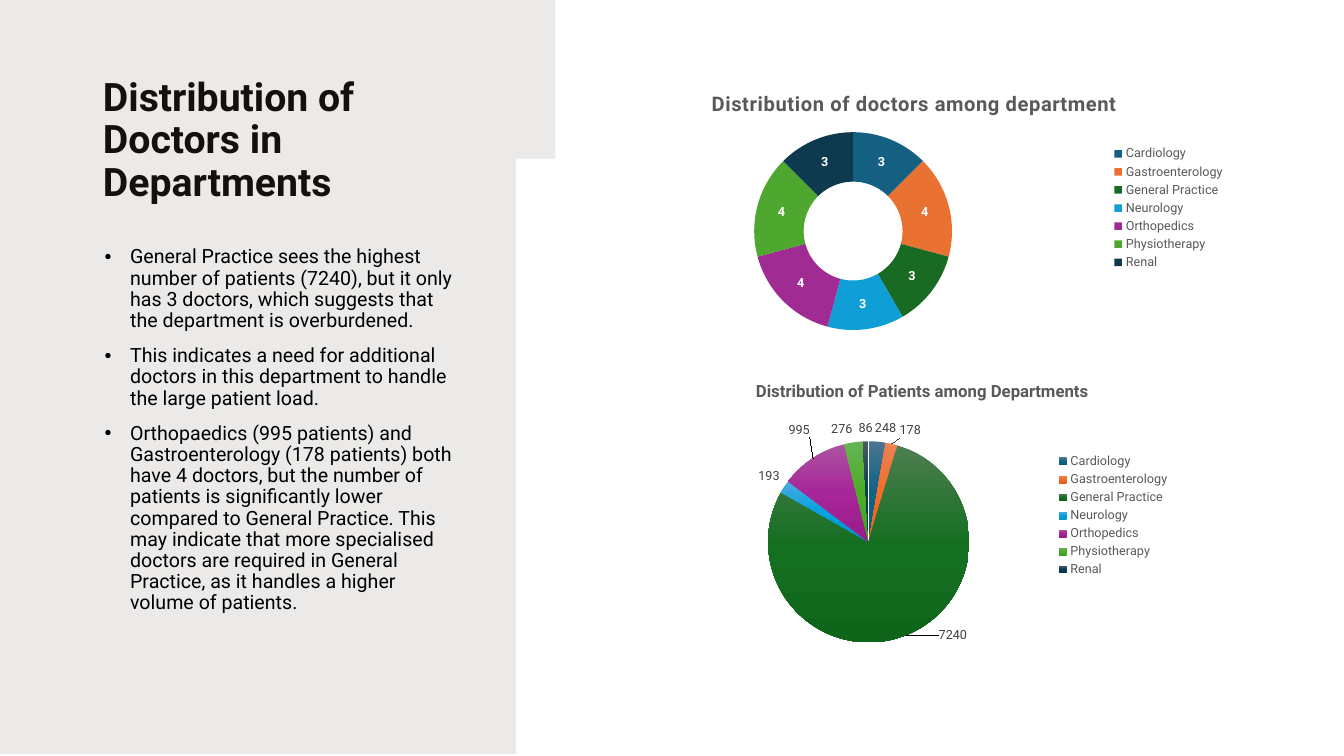
from copy import deepcopy

from pptx import Presentation
from pptx.chart.data import CategoryChartData
from pptx.dml.color import RGBColor
from pptx.enum.chart import XL_CHART_TYPE as ChartType
from pptx.enum.chart import XL_LABEL_POSITION as LabelPosition
from pptx.enum.chart import XL_LEGEND_POSITION as LegendPosition
from pptx.enum.text import MSO_ANCHOR as Anchor
from pptx.enum.text import MSO_AUTO_SIZE as AutoSize
from pptx.enum.text import PP_ALIGN as Align
from pptx.oxml import parse_xml
from pptx.oxml.ns import nsdecls
from pptx.oxml.xmlchemy import OxmlElement
from pptx.util import Cm, Pt

FONT = "Roboto"
BLACK = RGBColor(0x00, 0x00, 0x00)
WHITE = RGBColor(0xFF, 0xFF, 0xFF)
TAUPE = RGBColor(0x82, 0x76, 0x6A)
GREY = RGBColor(0x59, 0x59, 0x59)
DARK_GREY = RGBColor(0x40, 0x40, 0x40)

# Department: doctors, patients, flat colour, gradient colours
DEPARTMENTS = {
    "Cardiology": (3, 248, "156082", ("4C7591", "106287", "09597D")),
    "Gastroenterology": (4, 178, "E97132", ("ED8257", "F26E29", "E25F1A")),
    "General Practice": (3, 7240, "196B24", ("4D7E50", "156F21", "0F661B")),
    "Neurology": (3, 193, "0F9ED5", ("4CAADF", "05A2DF", "0092CB")),
    "Orthopedics": (4, 995, "A02B93", ("AC53A0", "A62598", "991C8B")),
    "Physiotherapy": (4, 276, "4EA72E", ("66B354", "4BAD28", "409F1E")),
    "Renal": (3, 86, "0D3A4E", ("4B5B68", "093B51", "05354B")),
}
DOCTORS, PATIENTS, COLOURS, GRADIENTS = zip(*DEPARTMENTS.values())

FINDINGS = [
    "General Practice sees the highest number of patients (7240), but it only has 3 doctors, "
    "which suggests that the department is overburdened.",
    "This indicates a need for additional doctors in this department to handle the large "
    "patient load.",
    "Orthopaedics (995 patients) and Gastroenterology (178 patients) both have 4 doctors, but "
    "the number of patients is significantly lower compared to General Practice. This may "
    "indicate that more specialised doctors are required in General Practice, as it handles a "
    "higher volume of patients.",
]

# Torn right edge of the panel, from top to bottom, in centimetres
TORN_EDGE = [
    (14.35, 0), (14.27, 0.36), (14.27, 0.99), (14.22, 1.32), (14.25, 1.6), (14.1, 1.9),
    (13.94, 2.26), (13.89, 2.46), (13.67, 2.95), (13.67, 3.23), (13.61, 3.61), (13.51, 3.91),
    (13.41, 4.22), (13.41, 4.57), (13.36, 4.95), (13.31, 5.46), (13.21, 5.61), (13.18, 5.87),
    (13.16, 6.27), (13.03, 6.48), (12.93, 6.68), (12.88, 7.09), (12.8, 7.54), (12.85, 7.8),
    (12.83, 8.31), (12.93, 8.51), (12.88, 8.84), (12.9, 9.12), (13.03, 9.47), (13.11, 9.91),
    (13.13, 10.29), (13.23, 10.77), (13.21, 11.25), (13.11, 11.71), (13.13, 12.24),
    (13.06, 12.85), (13.03, 13.16), (12.98, 13.46), (12.9, 13.69), (12.8, 13.92),
    (12.78, 14.2), (12.83, 14.48), (12.88, 15.19), (12.88, 15.54), (12.8, 16.03),
    (12.8, 16.41), (12.85, 16.59), (12.85, 17.3), (12.93, 17.7), (12.98, 18.16),
    (13.06, 18.77), (13.11, 19.05), (15.7, 19.05),
]


def style_font(font, size, color, bold=False):
    font.name, font.size, font.bold = FONT, Pt(size), bold
    font.color.rgb = color


def write_text(para, text, size=14, color=BLACK, bold=False, line=None, before=0, after=0,
               tracking=0):
    span = para.add_run()
    span.text = text
    style_font(span.font, size, color, bold)
    if line:
        para.line_spacing = line
        para.space_before, para.space_after = Pt(before), Pt(after)
    if tracking:
        span.font._element.set("spc", str(tracking))


def add_panel(slide, height):
    builder = slide.shapes.build_freeform(0, 0, scale=Cm(1))
    builder.add_line_segments(TORN_EDGE + [(0, height)], close=True)
    panel = builder.convert_to_shape()
    panel.shadow.inherit = False
    panel.line.fill.background()
    panel.fill.solid()
    panel.fill.fore_color.rgb = TAUPE
    alpha = OxmlElement("a:alpha")
    alpha.set("val", "15000")
    panel._element.spPr.find(".//" + "{*}srgbClr").append(alpha)


def add_title(slide, box):
    title = slide.shapes.title
    title.left, title.top, title.width, title.height = box
    frame = title.text_frame
    frame.word_wrap, frame.auto_size = True, AutoSize.NONE
    frame.vertical_anchor = Anchor.MIDDLE
    para = frame.paragraphs[0]
    para.alignment = Align.LEFT
    write_text(para, "Distribution of Doctors in Departments", size=28, bold=True, line=0.9)


def add_findings(slide, box):
    frame = slide.shapes.add_textbox(*box).text_frame
    frame.word_wrap = True
    for index, finding in enumerate(FINDINGS):
        para = frame.add_paragraph() if index else frame.paragraphs[0]
        last = index == len(FINDINGS) - 1
        write_text(para, finding, line=0.9, before=10 if index else 0, after=8 if last else 0)
        properties = para._p.get_or_add_pPr()
        properties.set("marL", str(Cm(0.64)))
        properties.set("indent", str(-Cm(0.64)))
        properties.append(parse_xml(f'<a:buFont {nsdecls("a")} typeface="Arial"/>'))
        properties.append(parse_xml(f'<a:buChar {nsdecls("a")} char="•"/>'))


def make_layout(edge=True, target=None, **shares):
    """Manual chart layout; shares are fractions of the chart's size."""
    modes = ""
    if edge:
        modes = '<c:xMode val="edge"/><c:yMode val="edge"/>'
        if target:
            modes = f'<c:layoutTarget val="{target}"/>' + modes
    values = "".join(f'<c:{key} val="{share}"/>' for key, share in shares.items())
    return parse_xml(f'<c:layout {nsdecls("c")}><c:manualLayout>{modes}{values}'
                     '</c:manualLayout></c:layout>')


def place_part(part, after, layout):
    for old in part.findall("{*}layout"):
        part.remove(old)
    previous = part.find("{*}" + after) if after else None
    if previous is None:
        part.insert(0, layout)
    else:
        previous.addnext(layout)


def add_round_chart(slide, box, kind, values, title, title_at, plot_box, legend_box,
                    title_size=12, tracking=0):
    data = CategoryChartData()
    data.categories = list(DEPARTMENTS)
    data.add_series("Series 1", values)
    chart = slide.shapes.add_chart(kind, *box, data).chart
    style_font(chart.font, 10, BLACK)

    # Title, plot and legend
    chart.has_title = True
    write_text(chart.chart_title.text_frame.paragraphs[0], title, size=title_size, color=GREY,
               bold=True, tracking=tracking)
    chart.chart_title.include_in_layout = False
    chart.has_legend = True
    chart.legend.position = LegendPosition.RIGHT
    chart.legend.include_in_layout = False
    style_font(chart.legend.font, 9, GREY)
    place_part(chart.chart_title._element, "tx", make_layout(**title_at))
    place_part(chart._chartSpace.chart.plotArea, None, make_layout(target="inner", **plot_box))
    place_part(chart.legend._element, "legendPos", make_layout(**legend_box))

    chart.plots[0].vary_by_categories = True
    series = chart.plots[0].series[0]
    series.data_labels.show_value = True
    return series


def add_doctors_chart(slide, box):
    series = add_round_chart(
        slide, box, ChartType.DOUGHNUT, DOCTORS, "Distribution of doctors among department",
        dict(x=0.17, y=0.05), dict(x=0.24, y=0.22, w=0.32, h=0.73),
        dict(x=0.8, y=0.26, w=0.2, h=0.48), title_size=14.4, tracking=50)
    style_font(series.data_labels.font, 9, WHITE, bold=True)
    for index, colour in enumerate(COLOURS):
        look = series.points[index].format
        look.fill.solid()
        look.fill.fore_color.rgb = RGBColor.from_string(colour)
        look.line.fill.background()


def add_patients_chart(slide, box):
    series = add_round_chart(
        slide, box, ChartType.PIE, PATIENTS, "Distribution of Patients among Departments",
        dict(x=0.16, y=0.04), dict(x=0.19, y=0.25, w=0.4, h=0.65),
        dict(x=0.75, y=0.28, w=0.25, h=0.42))
    style_font(series.data_labels.font, 9, DARK_GREY)
    series.data_labels.position = LabelPosition.BEST_FIT
    for index, colours in enumerate(GRADIENTS):
        look = series.points[index].format
        look.line.fill.background()
        look.fill.gradient()
        look.fill.gradient_angle = 270
        first = look.fill.gradient_stops[0]._gs
        first.addnext(deepcopy(first))
        for stop, colour, position in zip(look.fill.gradient_stops, colours, (0, 0.5, 1)):
            stop.color.rgb = RGBColor.from_string(colour)
            stop.position = position

    # Labels moved away from their slices
    for name, across, down in [("General Practice", 0.06, -0.04), ("Orthopedics", 0, -0.05)]:
        index = list(DEPARTMENTS).index(name)
        label = series.points[index].data_label
        style_font(label.font, 9, DARK_GREY)
        label.position = LabelPosition.OUTSIDE_END
        element = series._element.xpath(f"c:dLbls/c:dLbl[c:idx/@val={index}]")[0]
        place_part(element, "idx", make_layout(edge=False, x=across, y=down))


def main():
    deck = Presentation()
    deck.slide_width, deck.slide_height = Cm(33.87), Cm(19.05)
    slide = deck.slides.add_slide(deck.slide_layouts[5])
    add_panel(slide, 19.05)
    add_title(slide, (Cm(2.34), Cm(1.7), Cm(10.39), Cm(3.71)))
    add_findings(slide, (Cm(2.39), Cm(6.1), Cm(9.53), Cm(10.85)))
    add_doctors_chart(slide, (Cm(15.14), Cm(1.83), Cm(15.9), Cm(6.83)))
    add_patients_chart(slide, (Cm(16.94), Cm(9.17), Cm(12.7), Cm(7.8)))
    deck.save("out.pptx")


if __name__ == "__main__":
    main()
